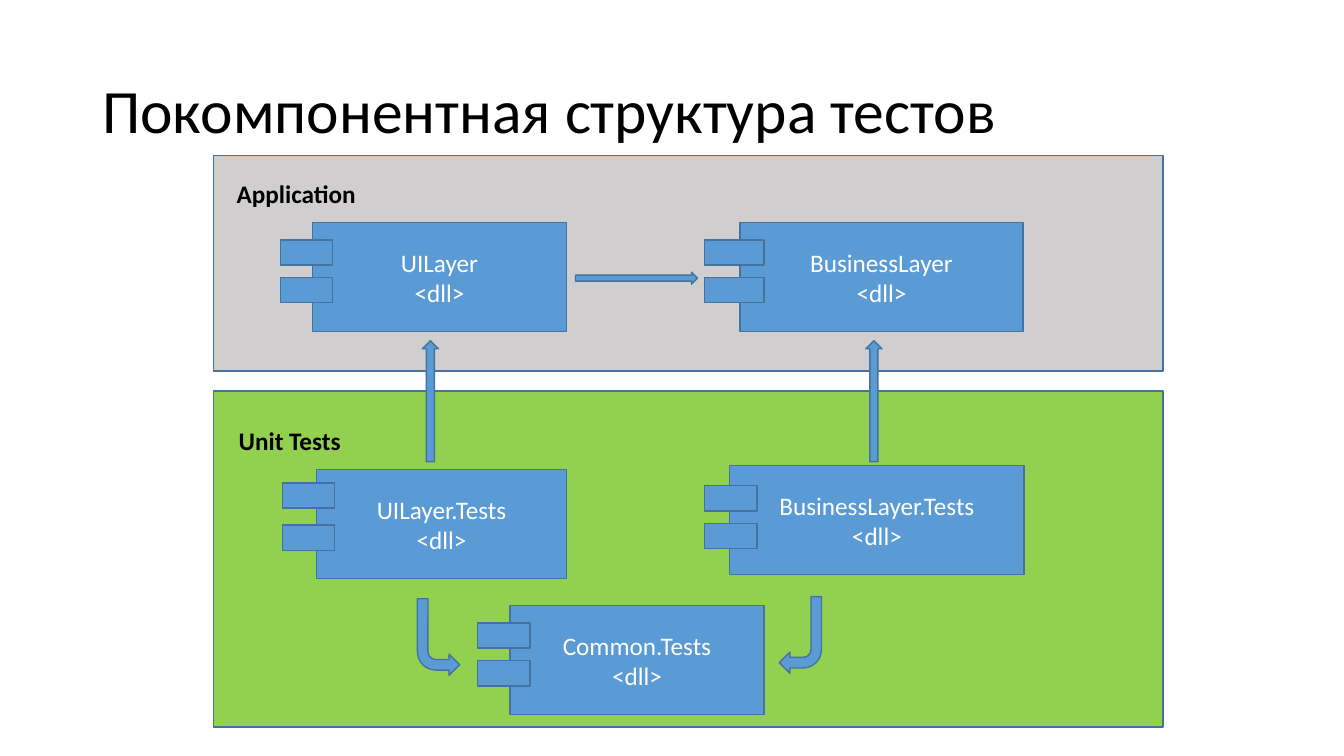
from pptx import Presentation
from pptx.dml.color import RGBColor
from pptx.enum.shapes import MSO_SHAPE as Shape
from pptx.enum.text import MSO_ANCHOR as Anchor, PP_ALIGN as Align
from pptx.util import Pt

BLACK = RGBColor(0x00, 0x00, 0x00)
WHITE = RGBColor(0xFF, 0xFF, 0xFF)
BLUE = RGBColor(0x5B, 0x9B, 0xD5)
OUTLINE = RGBColor(0x43, 0x73, 0x9E)
GRAY = RGBColor(0xD0, 0xCE, 0xCE)
GREEN = RGBColor(0x92, 0xD0, 0x50)

FONT = "Calibri"
COMPONENT_HEIGHT = 77.8
LUG_HEIGHT = 18


def set_font(paragraph, size, color, bold=False):
    font = paragraph.font
    font.name, font.size, font.bold = FONT, Pt(size), bold
    font.color.rgb = color


def add_block(slide, kind, left, top, width, height, fill=BLUE):
    block = slide.shapes.add_shape(kind, Pt(left), Pt(top), Pt(width), Pt(height))
    block.shadow.inherit = False
    block.fill.solid()
    block.fill.fore_color.rgb = fill
    block.line.color.rgb = OUTLINE
    block.line.width = Pt(1)
    return block


def add_text(slide, text, left, top, width, height, size, bold=False):
    box = slide.shapes.add_textbox(Pt(left), Pt(top), Pt(width), Pt(height))
    frame = box.text_frame
    frame.word_wrap = True
    frame.text = text
    set_font(frame.paragraphs[0], size, BLACK, bold)
    return frame


def add_title(slide, left, top, width, height):
    frame = add_text(slide, "Покомпонентная структура тестов", left, top, width, height, 44)
    frame.vertical_anchor = Anchor.MIDDLE
    frame.paragraphs[0].line_spacing = 0.9


def add_component(slide, name, left, top, width,
                  lug_left=-23, lug_top=12.2, lug_pitch=27, lug_width=37.4):
    """UML component: a named box with two lugs, placed relative to its corner."""
    body = add_block(slide, Shape.RECTANGLE, left, top, width, COMPONENT_HEIGHT)
    frame = body.text_frame
    frame.vertical_anchor = Anchor.MIDDLE
    frame.text = f"{name}\n<dll>"
    for paragraph in frame.paragraphs:
        paragraph.alignment = Align.CENTER
        set_font(paragraph, 18, WHITE)
    for row in range(2):
        add_block(slide, Shape.RECTANGLE, left + lug_left,
                  top + lug_top + row * lug_pitch, lug_width, LUG_HEIGHT)


def add_bent_arrow(slide, left, top, mirrored=False):
    """Arrow that runs down and turns left, or right when mirrored."""
    arrow = add_block(slide, Shape.BENT_ARROW, left, top, 30.2, 54.7)
    arrow.rotation = 180
    if mirrored:
        arrow._element.spPr.xfrm.set("flipH", "1")


def add_application(slide, left, top, width, height):
    add_block(slide, Shape.RECTANGLE, left, top, width, height, GRAY)
    add_text(slide, "Application", left + 9.4, top + 13, 138.2, 26.6, 18, bold=True)
    add_component(slide, "UILayer", left + 70.6, top + 48.2, 181.4)
    add_component(slide, "BusinessLayer", left + 375.9, top + 48.2, 202.3,
                  lug_left=-25.2, lug_width=42.5)
    add_block(slide, Shape.RIGHT_ARROW, left + 258.5, top + 83.5, 87.1, 8.6)


def add_unit_tests(slide, left, top, width, height):
    add_block(slide, Shape.RECTANGLE, left, top, width, height, GREEN)
    add_text(slide, "Unit Tests", left + 10.8, top + 20.9, 138.2, 28.8, 18, bold=True)
    add_component(slide, "BusinessLayer.Tests", left + 368.7, top + 53.2, 210.2,
                  lug_left=-18, lug_top=14.4)
    add_component(slide, "UILayer.Tests", left + 73.5, top + 56.1, 178.6,
                  lug_left=-24.5, lug_top=9.4, lug_pitch=30.2)
    add_component(slide, "Common.Tests", left + 211.7, top + 153.3, 181.4)
    for arrow_left in (149.1, 465.9):
        add_block(slide, Shape.UP_ARROW, left + arrow_left, top - 36, 11.5, 86.4)
    add_bent_arrow(slide, left + 404, top + 146.8)
    add_bent_arrow(slide, left + 145.5, top + 148.3, mirrored=True)


def main():
    deck = Presentation()
    deck.slide_width, deck.slide_height = Pt(960), Pt(540)
    slide = deck.slides.add_slide(deck.slide_layouts[6])
    add_title(slide, 66, 28.8, 828, 104.4)
    add_application(slide, 152.6, 110.9, 678.2, 154.1)
    add_unit_tests(slide, 152.6, 279.4, 678.2, 239.8)
    deck.save("out.pptx")


if __name__ == "__main__":
    main()
